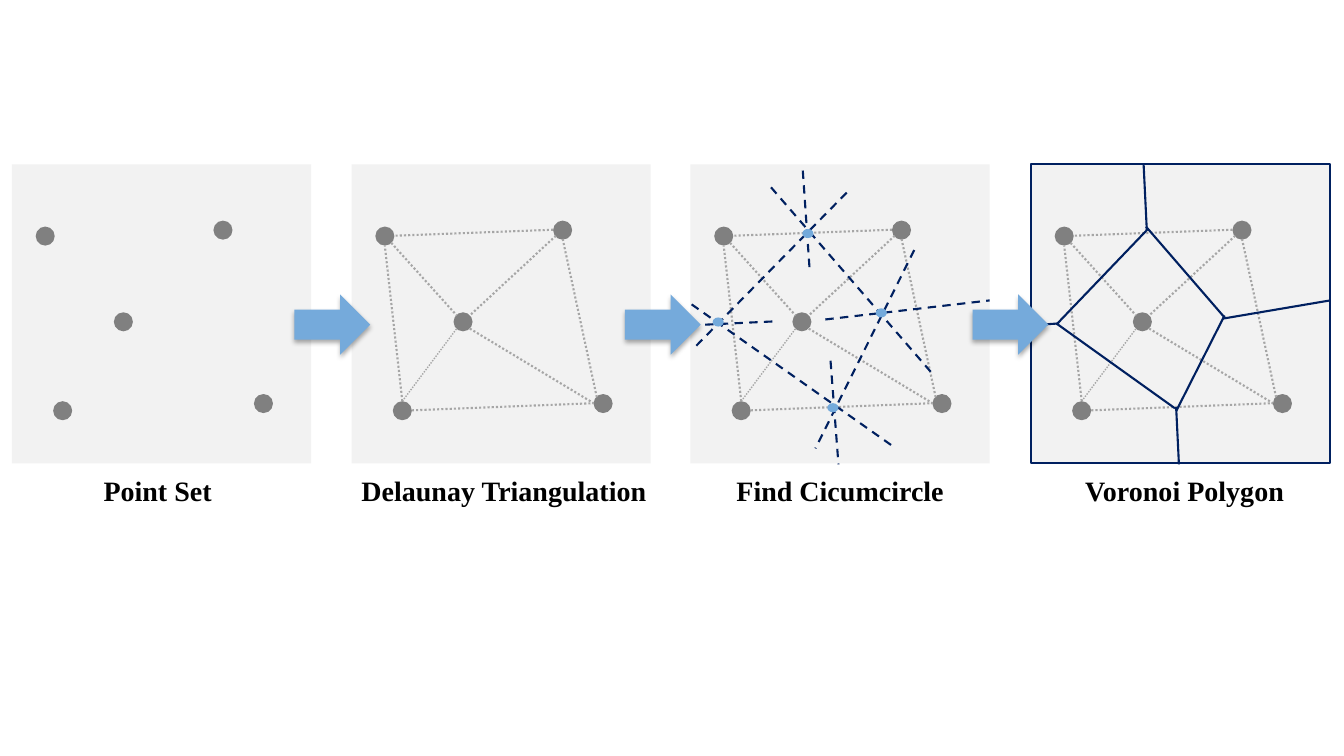
from lxml import etree
from pptx import Presentation
from pptx import util as u
from pptx.dml.color import RGBColor
from pptx.enum import dml, shapes, text
from pptx.oxml.ns import qn

COLORS = {"panel": "F2F2F2", "dot": "808080", "edge": "A6A6A6",
          "navy": "002060", "center": "74AADB", "arrow": "75AADB",
          "black": "000000"}
FONT = "Times New Roman"
DASH = dml.MSO_LINE.DASH
DOTTED = dml.MSO_LINE.ROUND_DOT

TOP, SIDE = 4.14, 7.54
PANELS = [
    (0.3, "Point Set", 2.36, 3.25),
    (8.86, "Delaunay Triangulation", 8.86, 7.75),
    (17.4, "Find Cicumcircle", 18.31, 5.77),
    (25.98, "Voronoi Polygon", 27.1, 5.56),
]
POINTS = [(0.6, 1.57), (5.08, 1.42), (2.57, 3.73), (1.04, 5.97), (6.1, 5.79)]
EDGES = [
    (1, 1.98, 2.65, 3.81), (5.32, 1.88, 6.18, 5.87),
    (2.98, 4.14, 6.1, 6.02), (1.52, 6.2, 6.1, 6.02),
    (1.28, 5.97, 0.84, 2.06), (5.08, 1.65, 1.08, 1.8),
    (5.15, 1.8, 2.98, 3.81),
]
THIN = [(1.28, 5.97, 2.65, 4.14)]
BISECTORS = [
    (3.4, 3.91, 7.54, 3.43), (3, 2.59, 2.82, 0),
    (2.03, 0.58, 6.1, 5.28), (0.03, 3.53, 5.11, 7.11),
    (3.53, 4.95, 3.73, 7.56), (5.64, 2.16, 3.15, 7.16),
    (0.15, 4.57, 3.96, 0.69), (0, 4.06, 2.08, 3.96),
]
BORDERS = [
    (4.83, 3.89, 7.54, 3.43), (2.92, 1.65, 2.84, 0),
    (2.9, 1.57, 4.88, 3.86), (0.64, 4.01, 3.63, 6.15),
    (3.66, 6.12, 3.73, 7.56), (4.88, 3.81, 3.66, 6.22),
    (0.64, 4.04, 2.95, 1.63), (0, 4.06, 0.71, 4.01),
]
CENTERS = [(2.82, 1.63), (4.67, 3.63), (3.45, 6.02), (0.56, 3.86)]
ARROWS = [7.42, 15.75, 24.51]

deck = Presentation()
deck.slide_width, deck.slide_height = u.Cm(33.87), u.Cm(19.05)
slide = deck.slides.add_slide(deck.slide_layouts[6])


def color(name):
    return RGBColor.from_string(COLORS[name])


def add_form(kind, x, y, w, h, fill):
    form = slide.shapes.add_shape(kind, u.Cm(x), u.Cm(y), u.Cm(w), u.Cm(h))
    form.shadow.inherit = False
    form.fill.solid()
    form.fill.fore_color.rgb = color(fill)
    form.line.fill.background()
    return form


def add_lines(left, ends, tint, dash=None, width=1.5):
    for x1, y1, x2, y2 in ends:
        line = slide.shapes.add_connector(
            shapes.MSO_CONNECTOR.STRAIGHT, u.Cm(left + x1), u.Cm(TOP + y1),
            u.Cm(left + x2), u.Cm(TOP + y2))
        line.line.color.rgb = color(tint)
        line.line.width = u.Pt(width)
        if dash is not None:
            line.line.dash_style = dash
        etree.SubElement(line._element.spPr, qn("a:effectLst"))


def add_dots(left, spots, w, h, fill):
    for x, y in spots:
        add_form(shapes.MSO_SHAPE.OVAL, left + x, TOP + y, w, h, fill)


def add_label(words, x, w):
    box = slide.shapes.add_textbox(u.Cm(x), u.Cm(11.81), u.Cm(w), u.Cm(1.12))
    frame = box.text_frame
    frame.word_wrap = False
    frame.auto_size = text.MSO_AUTO_SIZE.SHAPE_TO_FIT_TEXT
    para = frame.paragraphs[0]
    para.text = words
    para.font.name = FONT
    para.font.size = u.Pt(20)
    para.font.bold = True
    para.font.color.rgb = color("black")


def add_shadow(form):
    effects = form._element.spPr.find(qn("a:effectLst"))
    outer = etree.SubElement(
        effects, qn("a:outerShdw"), blurRad=str(u.Pt(3.5)),
        dist=str(u.Pt(2.2)), dir="5400000", rotWithShape="0")
    tint = etree.SubElement(outer, qn("a:srgbClr"), val=COLORS["black"])
    etree.SubElement(tint, qn("a:alpha"), val="32000")


for step, (left, words, x, w) in enumerate(PANELS):
    panel = add_form(shapes.MSO_SHAPE.RECTANGLE, left, TOP, SIDE, SIDE, "panel")
    add_dots(left, POINTS, 0.48, 0.48, "dot")
    if step > 0:
        add_lines(left, EDGES, "edge", DOTTED)
        add_lines(left, THIN, "edge", DOTTED, 1)
    if step == 2:
        add_lines(left, BISECTORS, "navy", DASH)
        add_dots(left, CENTERS, 0.28, 0.23, "center")
    if step == 3:
        panel.line.color.rgb = color("navy")
        panel.line.width = u.Pt(1.5)
        add_lines(left, BORDERS, "navy")
    add_label(words, x, w)

for x in ARROWS:
    add_shadow(add_form(shapes.MSO_SHAPE.RIGHT_ARROW, x, 7.42, 1.91, 1.52, "arrow"))

deck.save("out.pptx")
